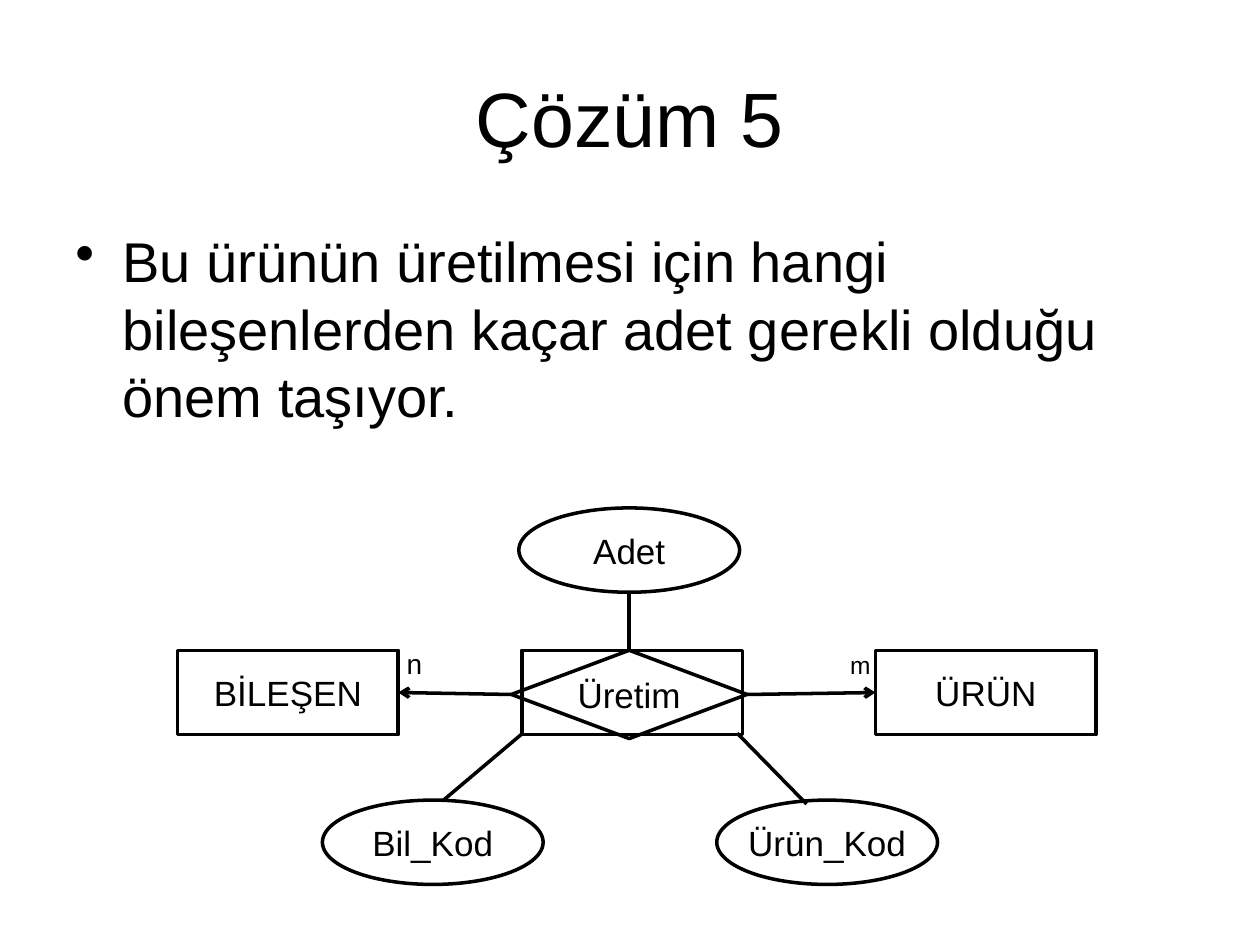
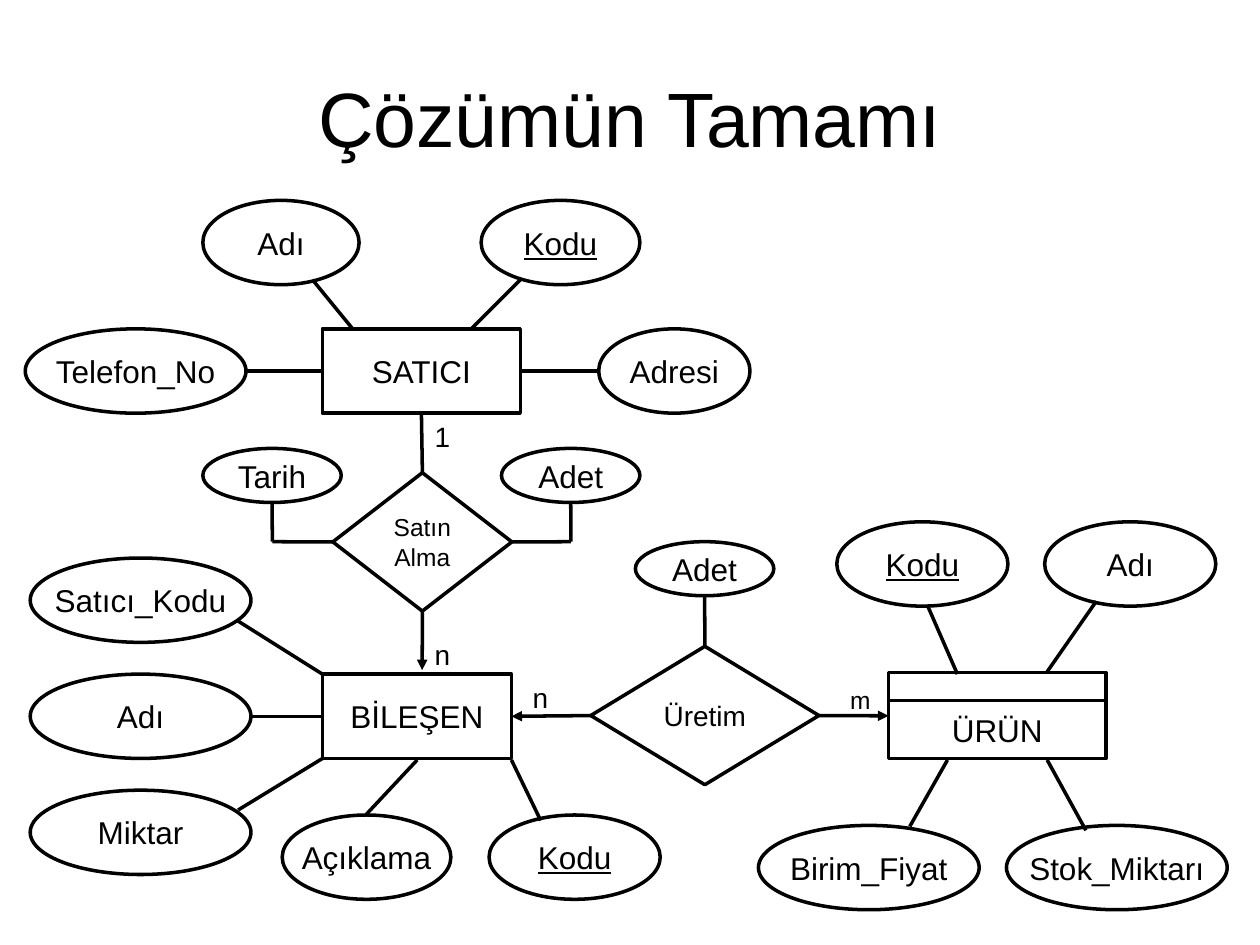
from lxml import etree
from pptx import Presentation
from pptx.dml.color import RGBColor
from pptx.enum.shapes import MSO_CONNECTOR, MSO_SHAPE
from pptx.enum.text import MSO_ANCHOR, PP_ALIGN
from pptx.oxml.ns import qn
from pptx.util import Cm, Pt

STRAIGHT = MSO_CONNECTOR.STRAIGHT
CENTER, LEFT = PP_ALIGN.CENTER, PP_ALIGN.LEFT
MIDDLE, TOP = MSO_ANCHOR.MIDDLE, MSO_ANCHOR.TOP
OVAL, RECT, DIAMOND = MSO_SHAPE.OVAL, MSO_SHAPE.RECTANGLE, MSO_SHAPE.DIAMOND
SIDES = {"top": 0, "left": 1, "bottom": 2, "right": 3}

FONT, INK, LINE_WIDTH = "Arial", "000000", 2
WIDE, TALL = 4.45, 1.7        # usual node size, cm
SMALL = (2.79, 1.09)          # small ellipse
KEY_WIDTH = 3.45              # ellipses of key attributes

# Content: nodes are (kind, text, left, top, width, height[, format]), in cm.
# Links run between (node, side) anchors or plain (x, y) points.
KEY = {"underline": True}
COMPONENT_LEFT, COMPONENT_TOP, COMPONENT_STEP = 0.61, 11.25, 2.34

SLIDES = [
    {
        "title": "Çözüm 5",
        "bullet": "Bu ürünün üretilmesi için hangi bileşenlerden kaçar adet "
                  "gerekli olduğu önem taşıyor.",
        "size": 20,
        "nodes": {
            "product code": (OVAL, "Ürün_Kod", 14.45, 16.13, WIDE, TALL),
            "quantity": (OVAL, "Adet", 10.46, 10.24, WIDE, TALL),
            "component code": (OVAL, "Bil_Kod", 6.5, 16.13, WIDE, TALL),
            "production frame": (RECT, "", 10.52, 13.11, WIDE, TALL),
            "component": (RECT, "BİLEŞEN", 3.58, 13.11, WIDE, TALL),
            "product": (RECT, "ÜRÜN", 17.65, 13.11, WIDE, TALL),
            "production": (DIAMOND, "Üretim", 10.31, 13.11, 4.75, 1.78),
        },
        "links": [
            ((16.26, 16.21), (14.86, 14.78)),
            (("quantity", "bottom"), ("production", "top")),
            ((8.94, 16.13), (10.54, 14.78)),
            (("production", "left"), ("component", "right"), "arrow"),
            (("production", "right"), ("product", "left"), "arrow"),
        ],
        "cardinalities": [("n", 7.95, 12.9, 16), ("m", 16.89, 12.98, 14)],
    },
    {
        "title": "Çözümün Tamamı",
        "size": 18,
        "nodes": {
            # Product
            "product": (RECT, "ÜRÜN", 17.91, 14.12, 4.39, 1.17),
            "product header": (RECT, "", 17.91, 13.56, 4.39, 0.56),
            "stock": (OVAL, "Stok_Miktarı", 20.29, 16.64, WIDE, TALL),
            "price": (OVAL, "Birim_Fiyat", 15.29, 16.64, WIDE, TALL),
            "product code": (OVAL, "Kodu", 16.87, 10.52, KEY_WIDTH, TALL, KEY),
            "product name": (OVAL, "Adı", 21.06, 10.52, KEY_WIDTH, TALL),
            # Component
            "component": (RECT, "BİLEŞEN", 6.5, 13.59, 3.81, TALL),
            **{
                name: (OVAL, text, COMPONENT_LEFT,
                       COMPONENT_TOP + row * COMPONENT_STEP, WIDE, TALL)
                for row, (name, text) in enumerate([
                    ("seller reference", "Satıcı_Kodu"),
                    ("component name", "Adı"),
                    ("amount", "Miktar"),
                ])
            },
            "component code": (OVAL, "Kodu", 9.86, 16.43, KEY_WIDTH, TALL, KEY),
            "description": (OVAL, "Açıklama", 5.69, 16.43, 3.4, TALL),
            # Production
            "production": (DIAMOND, "Üretim", 11.91, 13.03, 4.6, 2.79, {"size": 16}),
            "production quantity": (OVAL, "Adet", 12.81, 10.92, *SMALL),
            # Seller
            "seller": (RECT, "SATICI", 6.5, 6.63, 3.99, TALL),
            "address": (OVAL, "Adresi", 12.07, 6.63, 3.05, TALL),
            "seller code": (OVAL, "Kodu", 9.7, 4.04, 3.2, TALL, KEY),
            "phone": (OVAL, "Telefon_No", 0.51, 6.63, WIDE, TALL),
            "seller name": (OVAL, "Adı", 4.09, 4.04, 3.15, TALL),
            # Purchase
            "purchase": (DIAMOND, "Satın Alma", 6.71, 9.53, 3.61, 2.79, {"size": 14}),
            "purchase quantity": (OVAL, "Adet", 10.11, 9.04, *SMALL),
            "date": (OVAL, "Tarih", 4.09, 9.04, *SMALL),
        },
        "links": [
            ((21.11, 15.32), (21.89, 16.74)),
            ((18.69, 12.19), (19.3, 13.59)),
            ((22.1, 12.12), (21.11, 13.54)),
            ((19.1, 15.32), (18.34, 16.66)),
            (("component name", "right"), ("component", "left")),
            ((4.8, 16.33), (6.5, 15.29)),
            ((4.8, 12.52), (6.5, 13.59)),
            ((8.41, 15.32), (7.39, 16.41)),
            ((10.31, 15.32), (10.9, 16.54)),
            (("production", "right"), (17.91, 14.43), "triangle"),
            (("production", "left"), ("component", "right"), "triangle"),
            (("production quantity", "bottom"), ("production", "top")),
            ((10.49, 5.64), (9.5, 6.63)),
            ((6.3, 5.64), (7.11, 6.63)),
            (("address", "left"), ("seller", "right")),
            (("phone", "right"), ("seller", "left")),
            (("purchase", "top"), ("seller", "bottom")),
            (("purchase", "bottom"), (8.51, 13.51), "triangle"),
            (("purchase quantity", "bottom"), (11.51, 10.92)),
            ((11.51, 10.92), ("purchase", "right")),
            (("date", "bottom"), (5.49, 10.92)),
            ((5.49, 10.92), ("purchase", "left")),
        ],
        "cardinalities": [("n", 10.49, 13.59, 16), ("m", 16.89, 13.69, 14),
                          ("n", 8.51, 12.73, 16), ("1", 8.51, 8.33, 16)],
    },
]


def color(value):
    return RGBColor.from_string(value)


def write(shape, text, size, align=CENTER, anchor=MIDDLE, wrap=True, space=0, **font_format):
    """Fill a shape with one formatted paragraph and return the paragraph."""
    frame = shape.text_frame
    frame.word_wrap, frame.vertical_anchor = wrap, anchor
    paragraph = frame.paragraphs[0]
    paragraph.alignment, paragraph.space_before = align, Pt(space)
    run = paragraph.add_run()
    run.text = text
    for name, value in {"name": FONT, "size": Pt(size), **font_format}.items():
        setattr(run.font, name, value)
    run.font.color.rgb = color(INK)
    return paragraph


def outline(shape):
    shape.line.color.rgb = color(INK)
    shape.line.width = Pt(LINE_WIDTH)


def add_title(slide, text):
    title = slide.shapes.title
    box = {"left": 1.27, "top": 0.76, "width": 22.86, "height": 3.18}
    for name, value in box.items():
        setattr(title, name, Cm(value))
    write(title, text, 44)


def add_bullet(slide, text):
    box = slide.shapes.add_textbox(Cm(1.27), Cm(4.45), Cm(22.86), Cm(6.27))
    paragraph = write(box, text, 32, LEFT, TOP, space=8)
    properties = paragraph._p.get_or_add_pPr()
    properties.set("marL", str(Cm(0.95)))
    properties.set("indent", str(-Cm(0.95)))
    etree.SubElement(properties, qn("a:buChar")).set("char", "•")


def add_node(slide, size, kind, text, left, top, width, height, text_format=None):
    shape = slide.shapes.add_shape(kind, Cm(left), Cm(top), Cm(width), Cm(height))
    shape.shadow.inherit = False
    shape.fill.background()
    outline(shape)
    if text:
        write(shape, text, wrap=" " in text, **{"size": size, **(text_format or {})})
    return shape


def anchor_point(shape, side):
    across = {"left": 0, "right": 2}.get(side, 1)
    down = {"top": 0, "bottom": 2}.get(side, 1)
    return shape.left + across * shape.width // 2, shape.top + down * shape.height // 2


def add_link(slide, shapes, start, end, head=None):
    points, joints = [], []
    for place in (start, end):
        if isinstance(place[0], str):
            shape = shapes[place[0]]
            points += anchor_point(shape, place[1])
            # Ellipses number their connection sites differently
            joinable = shape.auto_shape_type != OVAL
            joints.append((shape, SIDES[place[1]]) if joinable else None)
        else:
            points += [Cm(value) for value in place]
            joints.append(None)
    connector = slide.shapes.add_connector(STRAIGHT, *points)
    for join, joint in zip((connector.begin_connect, connector.end_connect), joints):
        if joint:
            join(*joint)
    outline(connector)
    if head:
        line = connector.line._get_or_add_ln()
        etree.SubElement(line, qn("a:tailEnd")).set("type", head)
    etree.SubElement(connector._element.spPr, qn("a:effectLst"))


def add_cardinality(slide, text, left, top, size):
    height = 0.94 if size > 14 else 0.86
    box = slide.shapes.add_textbox(Cm(left), Cm(top), Cm(0.79), Cm(height))
    write(box, text, size, LEFT, TOP, space=size * 0.625)


def main():
    presentation = Presentation()
    presentation.slide_width, presentation.slide_height = Cm(25.4), Cm(19.05)
    title_only = presentation.slide_layouts[5]
    for content in SLIDES:
        slide = presentation.slides.add_slide(title_only)
        add_title(slide, content["title"])
        if "bullet" in content:
            add_bullet(slide, content["bullet"])
        shapes = {name: add_node(slide, content["size"], *node)
                  for name, node in content["nodes"].items()}
        for link in content["links"]:
            add_link(slide, shapes, *link)
        for cardinality in content["cardinalities"]:
            add_cardinality(slide, *cardinality)
    presentation.save("out.pptx")


if __name__ == "__main__":
    main()
